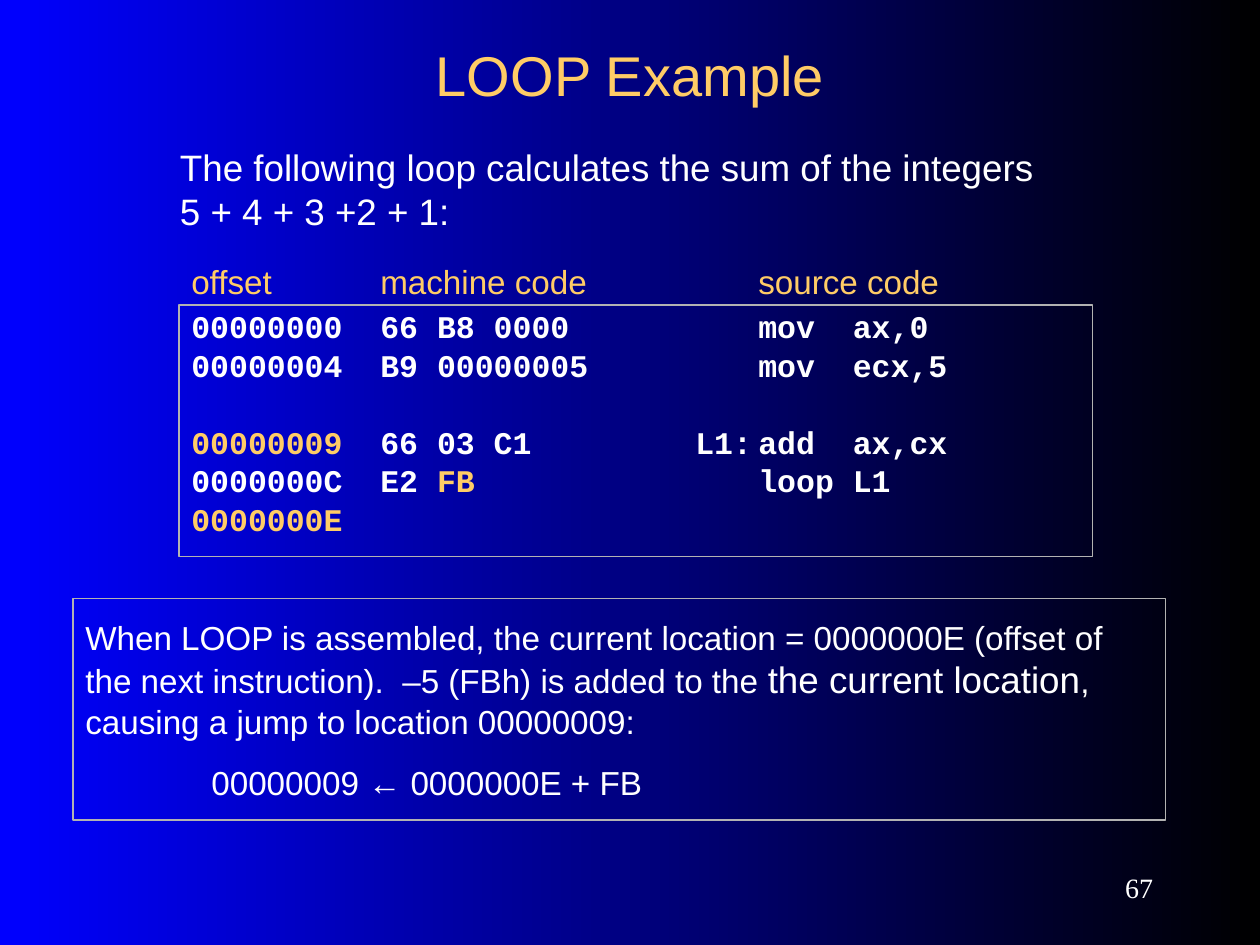
"""Build the LOOP Example slide with its code listing and jump explanation."""
from lxml import etree
from pptx import Presentation
from pptx import util as u
from pptx.dml.color import RGBColor
from pptx.enum import shapes, text
from pptx.oxml.ns import qn

BLACK = RGBColor(0x00, 0x00, 0x00)
BLUE = RGBColor(0x00, 0x00, 0xFF)
WHITE = RGBColor(0xFF, 0xFF, 0xFF)
GOLD = RGBColor(0xFF, 0xCC, 0x66)
GRAY = RGBColor(0xB2, 0xB2, 0xB2)


def set_frame(box, top_inset=0.15, anchor=text.MSO_ANCHOR.TOP):
    frame = box.text_frame
    frame.word_wrap = True
    frame.auto_size = text.MSO_AUTO_SIZE.NONE
    frame.vertical_anchor = anchor
    frame.margin_left = frame.margin_right = u.Inches(0.1)
    frame.margin_top = frame.margin_bottom = u.Inches(top_inset)
    return frame


def fill_para(para, spans, before=0, stops=(), align=text.PP_ALIGN.LEFT, font="Arial", bold=False, spacing=1.0):
    para.alignment = align
    para.line_spacing = spacing
    para.space_before = u.Pt(before)
    for words, size, color in spans:
        span = para.add_run()
        span.text = words
        span.font.name = font
        span.font.size = u.Pt(size)
        span.font.bold = bold
        span.font.color.rgb = color
    if stops:
        tabs = etree.SubElement(para._p.get_or_add_pPr(), qn("a:tabLst"))
        for stop in stops:
            etree.SubElement(tabs, qn("a:tab"), pos=str(u.Inches(stop)), algn="l")


deck = Presentation()
deck.slide_width, deck.slide_height = u.Inches(10), u.Inches(7.5)
page = deck.slides.add_slide(deck.slide_layouts[5])

backdrop = page.background.fill
backdrop.gradient()
backdrop.gradient_angle = 180
for stop, color in zip(backdrop.gradient_stops, (BLACK, BLUE)):
    stop.color.rgb = color

title = page.shapes.title
title.left, title.top = u.Inches(0.75), u.Inches(0.25)
title.width, title.height = u.Inches(8.5), u.Inches(0.67)
frame = set_frame(title, 0.05, text.MSO_ANCHOR.MIDDLE)
fill_para(frame.paragraphs[0], [("LOOP Example", 32, GOLD)], align=text.PP_ALIGN.CENTER)

panels = []
for left, top, width, height in ((1.42, 2.42, 7.25, 2), (0.58, 4.75, 8.67, 1.76)):
    panel = page.shapes.add_shape(
        shapes.MSO_SHAPE.RECTANGLE, u.Inches(left), u.Inches(top), u.Inches(width), u.Inches(height))
    panel.shadow.inherit = False
    panel.fill.background()
    panel.line.color.rgb = GRAY
    panel.line.width = u.Pt(0.75)
    panels.append(set_frame(panel))
listing, explanation = panels

code_lines = [
    (11.2, [("00000000\t66 B8 0000\t\tmov\tax,0", WHITE)]),
    (11.2, [("00000004\tB9 00000005\t\tmov\tecx,5", WHITE)]),
    (33.2, [("00000009", GOLD), ("\t66 03 C1\tL1:\tadd\tax,cx", WHITE)]),
    (11.2, [("0000000C\tE2 ", WHITE), ("FB", GOLD), ("\t\tloop\tL1", WHITE)]),
    (11.2, [("0000000E", GOLD)]),
]
for index, (before, parts) in enumerate(code_lines):
    para = listing.add_paragraph() if index else listing.paragraphs[0]
    spans = [(words, 18, color) for words, color in parts]
    fill_para(para, spans, before, (1.5, 4, 4.5, 5.25), font="Courier New", bold=True, spacing=0.5)

fill_para(explanation.paragraphs[0], [
    ("When LOOP is assembled, the current location = 0000000E (offset of the next instruction).  "
     "–5 (FBh) is added to the ", 19, WHITE),
    ("the current location", 21, WHITE),
    (", causing a jump to location 00000009:", 19, WHITE),
], 11.9)
fill_para(explanation.add_paragraph(), [("\t00000009 ← 0000000E + FB", 19, WHITE)], 11.9, (1,))

intro = page.shapes.add_textbox(u.Inches(1.33), u.Inches(1), u.Inches(7.17), u.Inches(1))
fill_para(set_frame(intro).paragraphs[0],
          [("The following loop calculates the sum of the integers 5 + 4 + 3 +2 + 1:", 21, WHITE)], 13.1)

headings = page.shapes.add_textbox(u.Inches(1.42), u.Inches(1.92), u.Inches(7.08), u.Inches(0.62))
fill_para(set_frame(headings).paragraphs[0],
          [("offset\tmachine code\tsource code", 19, GOLD)], 11.9, (1.5, 4.5))

number = page.shapes.add_textbox(u.Inches(8.17), u.Inches(6.83), u.Inches(1.08), u.Inches(0.42))
frame = set_frame(number, 0.05, text.MSO_ANCHOR.MIDDLE)
fill_para(frame.paragraphs[0], [("67", 16, WHITE)], align=text.PP_ALIGN.RIGHT, font="Times New Roman")

deck.save("out.pptx")
